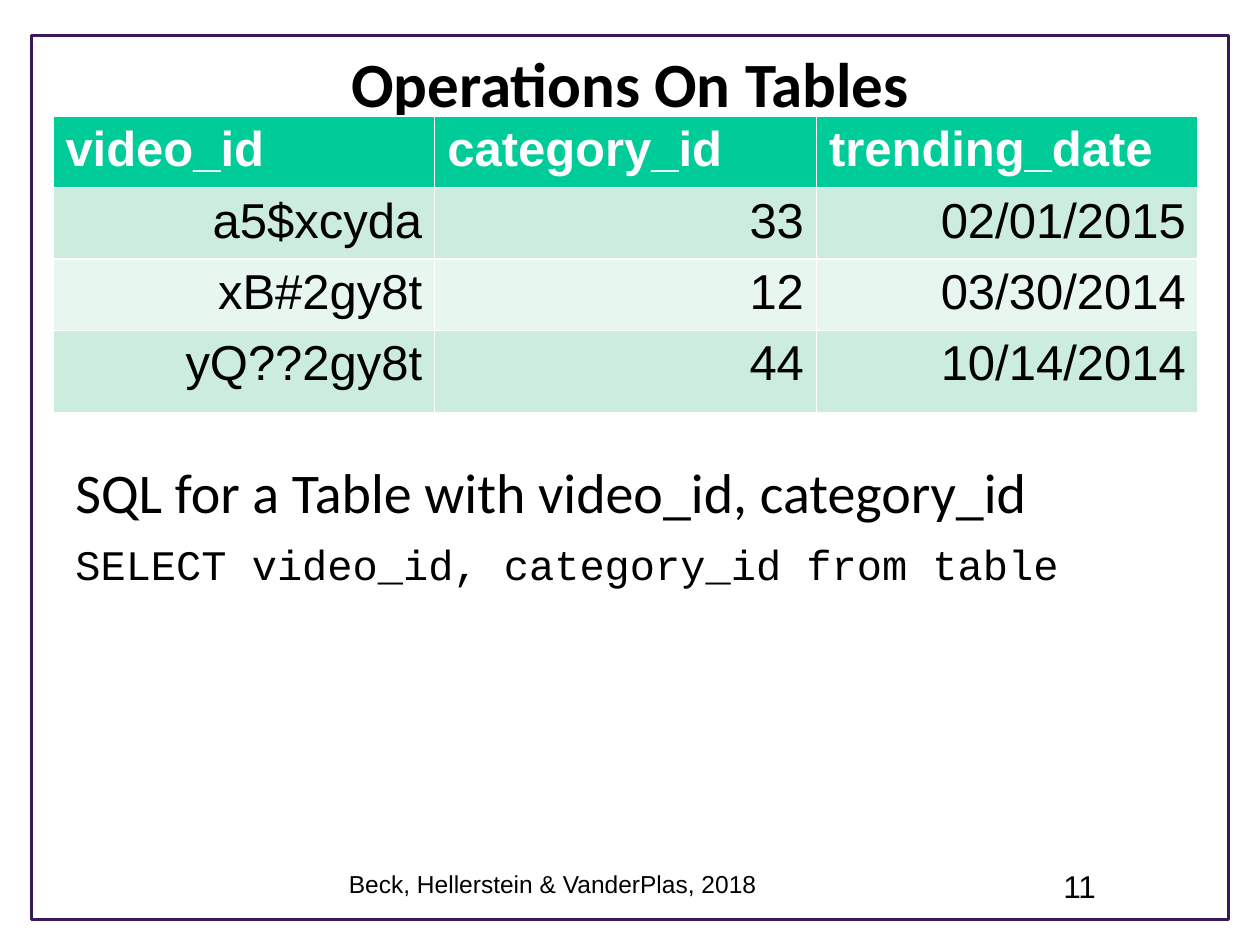
from pptx import Presentation
from pptx import util as u
from pptx.dml.color import RGBColor
from pptx.enum import shapes, text

COLORS = {
    "frame": "3B185A",
    "text": "000000",
    "header": "00CC99",
    "header_text": "FFFFFF",
    "odd_row": "CCECDE",
    "even_row": "E7F6EF",
}
ROWS = [
    ("video_id", "category_id", "trending_date"),
    ("a5$xcyda", "33", "02/01/2015"),
    ("xB#2gy8t", "12", "03/30/2014"),
    ("yQ??2gy8t", "44", "10/14/2014"),
]
ROW_HEIGHTS = (0.48, 0.48, 0.48, 0.65)
COLUMN_WIDTH = 3.03


def color(name):
    return RGBColor.from_string(COLORS[name])


def inches(*lengths):
    return [u.Inches(length) for length in lengths]


def style_paragraph(para, size, font="Arial", ink="text", bold=False):
    for span in para.runs:
        span.font.size = u.Pt(size)
        span.font.name = font
        span.font.bold = bold
        span.font.color.rgb = color(ink)


def add_frame(page):
    """Draw the page border behind everything else."""
    frame = page.shapes.add_shape(
        shapes.MSO_SHAPE.RECTANGLE, *inches(0.25, 0.28, 9.5, 7.02))
    frame.shadow.inherit = False
    frame.fill.background()
    frame.line.color.rgb = color("frame")
    frame.line.width = u.Pt(1.75)
    page.shapes.title.element.addprevious(frame.element)


def set_title(page, title):
    box = page.shapes.title
    box.left, box.top, box.width, box.height = inches(0.5, 0.3, 9, 0.95)
    box.text_frame.text = title
    box.text_frame.vertical_anchor = text.MSO_ANCHOR.TOP
    para = box.text_frame.paragraphs[0]
    para.alignment = text.PP_ALIGN.CENTER
    style_paragraph(para, 36, "Calibri", bold=True)


def add_text(page, place, lines, space_before=0):
    """Add a text box; each line is (words, size, font)."""
    frame = page.shapes.add_textbox(*inches(*place)).text_frame
    frame.word_wrap = True
    frame.text = "\n".join(words for words, _, _ in lines)
    for para, (_, size, font) in zip(frame.paragraphs, lines):
        para.space_before = u.Pt(space_before)
        style_paragraph(para, size, font)


def fill_cell(cell, words, row_index):
    is_header = row_index == 0
    fill = "header" if is_header else "odd_row" if row_index % 2 else "even_row"
    cell.fill.solid()
    cell.fill.fore_color.rgb = color(fill)
    cell.text_frame.text = words
    para = cell.text_frame.paragraphs[0]
    para.alignment = text.PP_ALIGN.LEFT if is_header else text.PP_ALIGN.RIGHT
    style_paragraph(para, 28, ink="header_text" if is_header else "text",
                    bold=is_header)


def add_video_table(page):
    columns = len(ROWS[0])
    place = inches(0.42, 0.92, columns * COLUMN_WIDTH, sum(ROW_HEIGHTS))
    table = page.shapes.add_table(len(ROWS), columns, *place).table
    for column in table.columns:
        column.width = u.Inches(COLUMN_WIDTH)
    for row_index, (row, height) in enumerate(zip(table.rows, ROW_HEIGHTS)):
        row.height = u.Inches(height)
        for cell, words in zip(row.cells, ROWS[row_index]):
            fill_cell(cell, words, row_index)


def main():
    deck = Presentation()
    deck.slide_width, deck.slide_height = inches(10, 7.5)
    page = deck.slides.add_slide(deck.slide_layouts[5])
    add_frame(page)
    set_title(page, "Operations On Tables")
    add_text(page, (0.5, 3.58, 9, 3.12), [
        ("SQL for a Table with video_id, category_id", 32, "Calibri"),
        ("SELECT video_id, category_id from table", 24, "Courier New"),
    ], space_before=8)
    add_text(page, (2.67, 6.85, 3.92, 0.4),
             [("Beck, Hellerstein & VanderPlas, 2018", 14, "Arial")])
    add_text(page, (8.34, 6.83, 0.58, 0.4), [("11", 18, "Arial")])
    add_video_table(page)
    deck.save("out.pptx")


if __name__ == "__main__":
    main()
